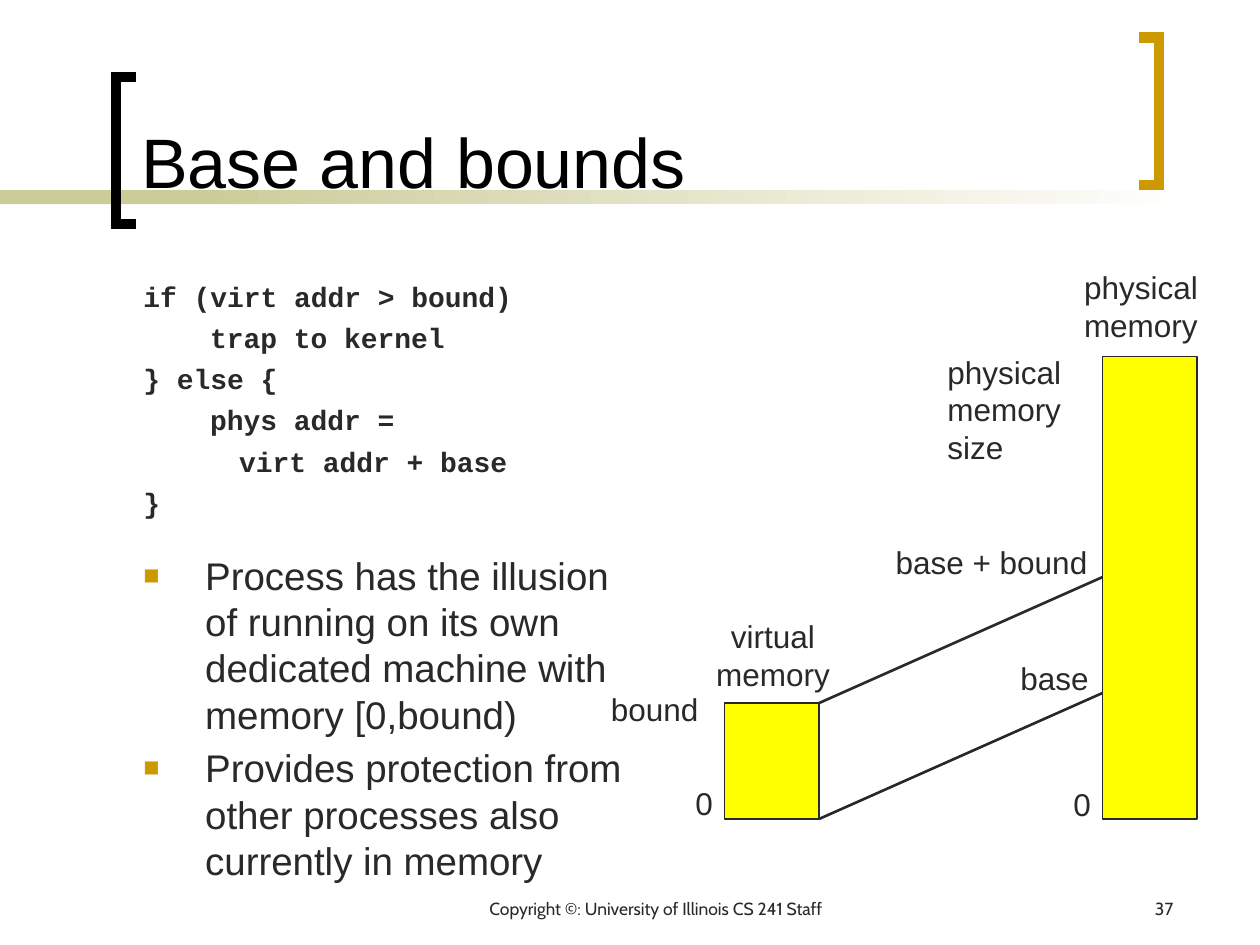
from dataclasses import dataclass

from lxml import etree
from pptx import Presentation
from pptx.dml.color import RGBColor
from pptx.enum.shapes import MSO_CONNECTOR, MSO_SHAPE
from pptx.enum.text import MSO_ANCHOR, PP_ALIGN
from pptx.oxml.ns import qn
from pptx.util import Inches, Pt

LEFT, CENTER, RIGHT = PP_ALIGN.LEFT, PP_ALIGN.CENTER, PP_ALIGN.RIGHT
BOTTOM = MSO_ANCHOR.BOTTOM
RECTANGLE = MSO_SHAPE.RECTANGLE
STRAIGHT = MSO_CONNECTOR.STRAIGHT
COLORS = {
    "black": "000000",
    "ink": "292929",
    "gold": "CC9900",
    "khaki": "CCCC99",
    "white": "FFFFFF",
    "memory": "FFFF00",
}


@dataclass
class Label:
    left: float
    top: float
    width: float
    lines: tuple[str, ...]
    align: PP_ALIGN = LEFT
    first_margin: float = 0


@dataclass
class Bracket:
    tip: float
    spine: float
    top: float
    color: str


@dataclass
class MemoryBar:
    left: float
    top: float
    height: float


@dataclass
class CodeLine:
    text: str
    indent: float = 0


def rgb(name: str) -> RGBColor:
    return RGBColor.from_string(COLORS[name])


def write(paragraph, text: str, *, size: float, font: str = "Arial", color: str = "ink",
          bold: bool = False, align: PP_ALIGN = LEFT, before: float = 0,
          margin: float = 0, hanging: float = 0, right_margin: float = 0,
          bullet: str = "") -> None:
    run = paragraph.add_run()
    run.text = text
    run.font.size = Pt(size)
    run.font.name = font
    run.font.bold = bold
    run.font.color.rgb = rgb(color)
    paragraph.alignment = align
    paragraph.space_before = Pt(before)
    properties = paragraph._p.get_or_add_pPr()
    properties.set("marL", str(Inches(margin)))
    properties.set("indent", str(-Inches(hanging)))
    if right_margin:
        properties.set("marR", str(Inches(right_margin)))
    if bullet:
        bullet_color = etree.SubElement(properties, qn("a:buClr"))
        etree.SubElement(bullet_color, qn("a:srgbClr"), val=COLORS["gold"])
        etree.SubElement(properties, qn("a:buSzPct"), val="70000")
        etree.SubElement(properties, qn("a:buFont"), typeface="Arial")
        etree.SubElement(properties, qn("a:buChar"), char=bullet)


def add_frame(slide, left: float, top: float, width: float, height: float,
              wrap: bool = True):
    box = slide.shapes.add_textbox(Inches(left), Inches(top), Inches(width), Inches(height))
    box.text_frame.word_wrap = wrap
    return box.text_frame


def next_paragraph(frame):
    first = frame.paragraphs[0]
    return frame.add_paragraph() if first.runs else first


def add_rectangle(slide, left: float, top: float, width: float, height: float):
    shape = slide.shapes.add_shape(
        RECTANGLE, Inches(left), Inches(top), Inches(width), Inches(height))
    shape.shadow.inherit = False
    shape.line.fill.background()
    return shape


def add_bracket(slide, bracket: Bracket) -> None:
    bottom = bracket.top + 1.17
    corners = [(bracket.spine, bracket.top), (bracket.spine, bottom), (bracket.tip, bottom)]
    builder = slide.shapes.build_freeform(Inches(bracket.tip), Inches(bracket.top))
    builder.add_line_segments([(Inches(x), Inches(y)) for x, y in corners], close=False)
    shape = builder.convert_to_shape()
    shape.shadow.inherit = False
    shape.fill.background()
    shape.line.color.rgb = rgb(bracket.color)
    shape.line.width = Pt(6)
    etree.SubElement(shape.line._get_or_add_ln(), qn("a:miter"), lim="800000")


def add_memory(slide, bar: MemoryBar) -> None:
    shape = add_rectangle(slide, bar.left, bar.top, BAR_WIDTH, bar.height)
    shape.fill.solid()
    shape.fill.fore_color.rgb = rgb("memory")
    shape.line.color.rgb = rgb("ink")
    shape.line.width = Pt(0.75)


def add_mapping(slide, start_y: float) -> None:
    line = slide.shapes.add_connector(
        STRAIGHT, Inches(VIRTUAL.left + BAR_WIDTH), Inches(start_y),
        Inches(PHYSICAL.left), Inches(start_y - 1))
    line.line.color.rgb = rgb("ink")
    line.line.width = Pt(1.5)
    etree.SubElement(line._element.spPr, qn("a:effectLst"))


def add_label(slide, label: Label) -> None:
    height = 0.1 + 0.3 * len(label.lines)
    frame = add_frame(slide, label.left, label.top, label.width, height,
                      wrap=label.first_margin > 0)
    for index, text in enumerate(label.lines):
        write(next_paragraph(frame), text, size=18, align=label.align,
              right_margin=0 if index else label.first_margin)


BAR_WIDTH = 0.75
FLOOR = 6.5
PHYSICAL = MemoryBar(8.75, 2.83, 3.67)
VIRTUAL = MemoryBar(5.75, 5.58, 0.92)
BRACKETS = [Bracket(1.08, 0.92, 0.61, "black"), Bracket(9.04, 9.2, 0.3, "gold")]
CODE = [
    CodeLine("if (virt addr > bound)"),
    CodeLine("trap to kernel", 0.53),
    CodeLine("} else {"),
    CodeLine("phys addr =", 0.53),
    CodeLine("virt addr + base", 0.76),
    CodeLine("}"),
]
POINTS = [
    "Process has the illusion of running on its own dedicated machine with memory [0,bound)",
    "Provides protection from other processes also currently in memory",
]
LABELS = [
    Label(8.5, 2.08, 1.25, ("physical", "memory"), CENTER, 0.14),
    Label(7.42, 2.75, 1.25, ("physical", "memory", "size")),
    Label(7.01, 4.26, 1.74, ("base + bound",)),
    Label(8, 5.18, 0.75, ("base",)),
    Label(4.75, 5.43, 0.9, ("bound",)),
    Label(5.58, 4.85, 1.11, ("virtual", "memory"), CENTER),
    Label(5.42, 6.17, 0.34, ("0",)),
    Label(8.42, 6.18, 0.34, ("0",)),
]

presentation = Presentation()
presentation.slide_width = Inches(10)
presentation.slide_height = Inches(7.5)
slide = presentation.slides.add_slide(presentation.slide_layouts[5])

band = add_rectangle(slide, 0, 1.51, 2.33, 0.11)
band.fill.solid()
band.fill.fore_color.rgb = rgb("khaki")
fade = add_rectangle(slide, 1.58, 1.51, 7.92, 0.11)
fade.fill.gradient()
fade.fill.gradient_angle = 0
for stop, color, position in zip(fade.fill.gradient_stops, ("khaki", "white"), (0, 1)):
    stop.color.rgb = rgb(color)
    stop.position = position
for bracket in BRACKETS:
    add_bracket(slide, bracket)

title = slide.shapes.title
title.left, title.top = Inches(1.02), Inches(0.11)
title.width, title.height = Inches(7.83), Inches(1.55)
title.text_frame.vertical_anchor = BOTTOM
write(title.text_frame.paragraphs[0], "Base and bounds", size=40, color="black")
slide.shapes._spTree.append(title._element)

body = add_frame(slide, 1.04, 2.17, 4.11, 4.5)
for line in CODE:
    write(next_paragraph(body), line.text, size=16, font="Courier New", bold=True,
          before=4.3, margin=line.indent)
for index, point in enumerate(POINTS):
    write(next_paragraph(body), point, size=22, before=4.4 if index else 19,
          margin=0.49, hanging=0.49, bullet="■")

copyright_frame = add_frame(slide, 3.08, 7.08, 4.25, 0.25)
write(copyright_frame.paragraphs[0], "Copyright ©: University of Illinois CS 241 Staff",
      size=10, font="Cabin", align=CENTER)
number_frame = add_frame(slide, 7.33, 7.08, 2.08, 0.25)
write(number_frame.paragraphs[0], "37", size=10, font="Cabin", align=RIGHT)

for bar in (PHYSICAL, VIRTUAL):
    add_memory(slide, bar)
for label in LABELS:
    add_label(slide, label)
for start_y in (FLOOR, VIRTUAL.top):
    add_mapping(slide, start_y)

presentation.save("out.pptx")
